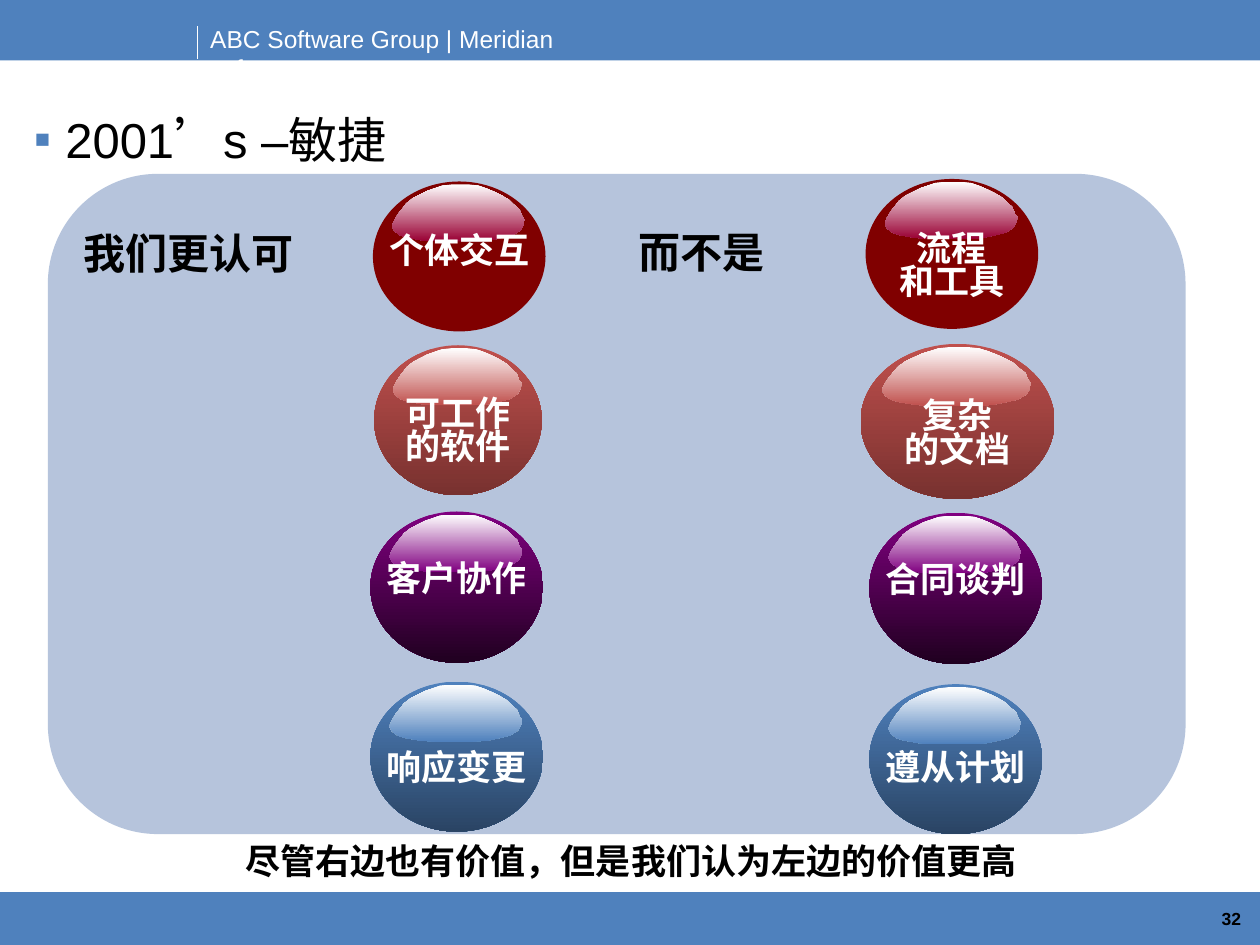
import pptx
import pptx.util
import pptx.dml.color
import pptx.enum.shapes
import pptx.enum.text
import pptx.oxml
import pptx.oxml.ns
import lxml.etree

RGB = pptx.dml.color.RGBColor
SHAPE = pptx.enum.shapes.MSO_SHAPE
ALIGN = pptx.enum.text.PP_ALIGN
qn = pptx.oxml.ns.qn

WHITE = RGB(0xFF, 0xFF, 0xFF)
BLACK = RGB(0x00, 0x00, 0x00)
BLUE = RGB(0x4F, 0x81, 0xBD)
DARK_BLUE = RGB(0x2A, 0x44, 0x64)
PANEL = RGB(0x6E, 0x8B, 0xBB)
MAROON = RGB(0x80, 0x00, 0x00)
CRIMSON = RGB(0x99, 0x00, 0x33)
RED = RGB(0xC0, 0x50, 0x4D)
DARK_RED = RGB(0x78, 0x31, 0x2F)
PURPLE = RGB(0x80, 0x00, 0x80)
DARK_PURPLE = RGB(0x20, 0x00, 0x20)

# The slide is a grid of 100 columns by 75 rows
COLUMNS, ROWS = 100, 75

# Outline of the gloss on a ball, in percent of its own box
GLOSS = [(98, 56), (100, 62), (99, 71), (97, 80), (91, 89), (84, 93), (74, 98),
         (61, 100), (36, 100), (23, 98), (11, 93), (6, 89), (2, 82), (0, 73),
         (2, 62), (5, 51), (8, 42), (11, 33), (16, 24), (21, 18), (27, 11),
         (32, 7), (38, 2), (45, 0), (58, 0), (65, 2), (71, 7), (77, 13),
         (83, 20), (88, 27), (92, 36), (96, 44)]

# Top colour, bottom colour and gloss colour of each row of balls
ROW_COLOURS = [(MAROON, MAROON, CRIMSON), (RED, DARK_RED, RED),
               (PURPLE, DARK_PURPLE, PURPLE), (BLUE, DARK_BLUE, BLUE)]

# Label, label top, label width, ball box
VALUED = [("个体交互", 18.3, 14.6, (29.6, 14.4, 13.7, 11.9)),
          ("可工作的软件", 31.2, 11.6, (29.7, 27.4, 13.3, 11.9)),
          ("客户协作", 44.3, 14.6, (29.4, 40.6, 13.7, 12)),
          ("响应变更", 59.3, 14.6, (29.4, 54.1, 13.7, 11.9))]
LESS_VALUED = [("流程\n和工具", 18.1, 14.6, (68.7, 14.2, 13.7, 11.9)),
               ("复杂\n的文档", 31.4, 14.6, (68.3, 27.3, 15.4, 12.3)),
               ("合同谈判", 44.4, 14.6, (69, 40.7, 13.7, 12)),
               ("遵从计划", 59.3, 14.6, (69, 54.3, 13.7, 11.9))]


class SlideBuilder:
    font_name = "Arial"

    def __init__(self, deck):
        self.slide = deck.slides.add_slide(deck.slide_layouts[6])
        self.column = deck.slide_width / COLUMNS
        self.row = deck.slide_height / ROWS

    def place(self, left, top, width, height):
        return (round(left * self.column), round(top * self.row),
                round(width * self.column), round(height * self.row))

    def paint(self, shape, top_colour, bottom_colour):
        shape.shadow.inherit = False
        shape.line.fill.background()
        if top_colour == bottom_colour:
            shape.fill.solid()
            shape.fill.fore_color.rgb = top_colour
        else:
            shape.fill.gradient()
            shape.fill.gradient_angle = 270
            for stop, colour in zip(shape.fill.gradient_stops, (top_colour, bottom_colour)):
                stop.color.rgb = colour

    def shape(self, kind, box, top_colour, bottom_colour=None):
        shape = self.slide.shapes.add_shape(kind, *self.place(*box))
        self.paint(shape, top_colour, bottom_colour or top_colour)
        return shape

    def divider(self, x, top, bottom):
        x, top, _, bottom = self.place(x, top, 0, bottom)
        divider = self.slide.shapes.add_connector(
            pptx.enum.shapes.MSO_CONNECTOR.STRAIGHT, x, top, x, bottom)
        divider.line.color.rgb = WHITE
        divider.line.width = pptx.util.Pt(0.75)
        lxml.etree.SubElement(divider._element.spPr, qn("a:effectLst"))

    def text(self, words, box, size, colour=BLACK, bold=True, align=ALIGN.CENTER,
             spacing=None, margin=None, bullet=None, shadow=False):
        frame = self.slide.shapes.add_textbox(*self.place(*box)).text_frame
        frame.word_wrap = True
        if margin is not None:
            frame.margin_left = frame.margin_right = margin
            frame.margin_top = frame.margin_bottom = margin
        paragraph = frame.paragraphs[0]
        paragraph.text = words
        paragraph.alignment = align
        if spacing:
            paragraph.line_spacing = spacing
        if bullet:
            self.add_bullet(paragraph, bullet)
        font = paragraph.font
        font.name, font.size, font.bold = self.font_name, pptx.util.Pt(size), bold
        font.color.rgb = colour
        if shadow:
            self.add_text_shadow(font)

    def add_bullet(self, paragraph, character):
        properties = paragraph._p.get_or_add_pPr()
        indent = pptx.util.Inches(0.25)
        properties.set("marL", str(indent))
        properties.set("indent", str(-indent))
        colour = lxml.etree.SubElement(properties, qn("a:buClr"))
        lxml.etree.SubElement(colour, qn("a:srgbClr"), val=str(BLUE))
        lxml.etree.SubElement(properties, qn("a:buFont"), typeface=self.font_name)
        lxml.etree.SubElement(properties, qn("a:buChar"), char=character)

    def add_text_shadow(self, font):
        effects = lxml.etree.Element(qn("a:effectLst"))
        shadow = lxml.etree.SubElement(effects, qn("a:outerShdw"),
                                       dist="38100", dir="2700000")
        lxml.etree.SubElement(shadow, qn("a:srgbClr"), val=str(BLACK))
        font._element.find(qn("a:solidFill")).addnext(effects)

    def ball(self, label, label_top, label_width, box, colours):
        left, top, width, height = box
        top_colour, bottom_colour, gloss_colour = colours
        self.shape(SHAPE.OVAL, box, top_colour, bottom_colour)

        # Gloss across the upper part
        x, y, gloss_width, gloss_height = self.place(
            left + 0.11 * width, top + 0.02 * height, 0.77 * width, 0.38 * height)
        outline = self.slide.shapes.build_freeform(
            *GLOSS[0], scale=(gloss_width / 100, gloss_height / 100))
        outline.add_line_segments(GLOSS[1:])
        self.paint(outline.convert_to_shape(x, y), WHITE, gloss_colour)

        label_left = left + (width - label_width) / 2
        label_height = 6.4 if len(label) > 4 else 3.7
        self.text(label, (label_left, label_top, label_width, label_height), 20,
                  WHITE, spacing=0.8, shadow=True)


def main():
    deck = pptx.Presentation()
    deck.slide_width = pptx.util.Inches(10)
    deck.slide_height = pptx.util.Inches(7.5)
    page = SlideBuilder(deck)

    # Header and footer bands
    page.shape(SHAPE.RECTANGLE, (0, 70.8, COLUMNS, 4.2), BLUE)
    page.shape(SHAPE.RECTANGLE, (0, 0, COLUMNS, 4.8), BLUE)
    page.text("ABC Software Group | Meridian software", (15.7, 1.4, 35, 3.3), 14,
              WHITE, bold=False, align=ALIGN.LEFT)
    page.divider(15.7, 2.1, 4.7)

    # Panel and title
    panel = page.shape(SHAPE.ROUNDED_RECTANGLE, (3.8, 13.8, 90.3, 52.4), PANEL)
    panel_colour = panel._element.spPr.find(qn("a:solidFill"))[0]
    lxml.etree.SubElement(panel_colour, qn("a:alpha"), val="50000")
    page.text("2001’s –敏捷", (1.7, 8.2, 96.8, 5.8), 28, bold=False,
              align=ALIGN.LEFT, bullet="▪")

    # Two columns of balls
    for balls in (VALUED, LESS_VALUED):
        for ball, colours in zip(balls, ROW_COLOURS):
            page.ball(*ball, colours)

    # Statement around the balls
    page.text("我们更认可", (4.3, 17.6, 21.4, 5), 24)
    page.text("而不是", (47.1, 17.5, 17.2, 5), 24)
    page.text("尽管右边也有价值，但是我们认为左边的价值更高",
              (13.3, 66.5, 73.6, 4), 20, spacing=0.9)

    # Page number
    page.text("32", (91.1, 72.1, 7.4, 1.7), 10, align=ALIGN.RIGHT, margin=0)

    deck.save("out.pptx")


if __name__ == "__main__":
    main()
